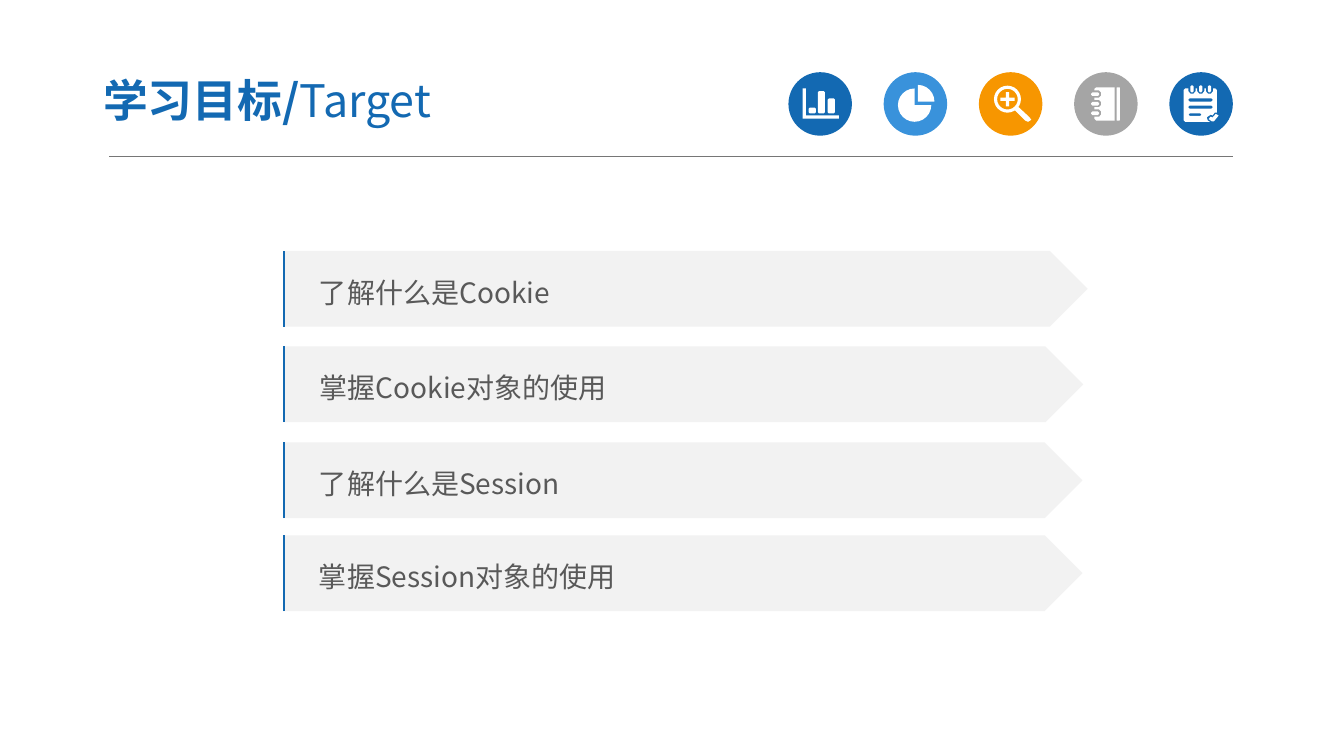
"""Build the learning targets slide."""
from math import cos, radians, sin

from lxml import etree
from pptx import Presentation
from pptx.dml.color import RGBColor
from pptx.enum.shapes import MSO_CONNECTOR, MSO_SHAPE
from pptx.enum.text import MSO_ANCHOR, PP_ALIGN
from pptx.oxml.ns import qn
from pptx.util import Cm, Pt

BLUE = RGBColor(0x13, 0x69, 0xB2)
SKY = RGBColor(0x39, 0x92, 0xDB)
ORANGE = RGBColor(0xF7, 0x96, 0x00)
GREY = RGBColor(0xA5, 0xA5, 0xA5)
WHITE = RGBColor(0xFF, 0xFF, 0xFF)
PALE = RGBColor(0xF2, 0xF2, 0xF2)
DARK = RGBColor(0x59, 0x59, 0x59)
RULE = RGBColor(0x76, 0x76, 0x76)
OVAL, ARROW, LINE = MSO_SHAPE.OVAL, MSO_SHAPE.PENTAGON, MSO_CONNECTOR.STRAIGHT
LEFT, MIDDLE = PP_ALIGN.LEFT, MSO_ANCHOR.MIDDLE
FONT = "Noto Sans CJK SC"

TITLE = (("学习目标/", True), ("Target", False))
GOALS = (
    ("了解什么是Cookie", 7.14, 6.32, 20.27),
    ("掌握Cookie对象的使用", 7.16, 8.73, 20.14),
    ("了解什么是Session", 7.14, 11.15, 20.14),
    ("掌握Session对象的使用", 7.14, 13.49, 20.14),
)
BAR_H, BAR_PAD, EDGE_X, EDGE_W = 1.91, 0.9, 7.16, 0.3
DISC_X, DISC_Y, DISC_D, DISC_STEP = 19.87, 1.82, 1.6, 2.4


def pill(x, y, w, h, cut=0.03):
    """Return a box outline with trimmed corners."""
    r, b = x + w, y + h
    return [(x + cut, y), (r - cut, y), (r, y + cut), (r, b - cut),
            (r - cut, b), (x + cut, b), (x, b - cut), (x, y + cut)]


def arc(x, y, radius, start=0, end=360, step=15):
    """Return points along a clockwise arc."""
    turns = [radians(a) for a in range(start, end + 1, step)]
    return [(x + radius * cos(a), y + radius * sin(a)) for a in turns]


CHART = [
    [(0.36, 0.41), (0.44, 0.41), (0.44, 1.09), (1.27, 1.09), (1.27, 1.17), (0.36, 1.17)],
    pill(0.51, 0.89, 0.18, 0.15),
    pill(0.74, 0.48, 0.18, 0.56),
    pill(0.99, 0.66, 0.18, 0.38),
]
SHARE = [
    [(0.78, 0.83)] + arc(0.78, 0.83, 0.42, 0, 270),
    [(0.86, 0.74)] + arc(0.86, 0.74, 0.42, 270, 360),
]
SEARCH = [
    arc(0.72, 0.68, 0.34),
    arc(0.72, 0.68, 0.26),
    [(0.68, 0.5), (0.76, 0.5), (0.76, 0.64), (0.9, 0.64), (0.9, 0.72), (0.76, 0.72),
     (0.76, 0.86), (0.68, 0.86), (0.68, 0.72), (0.54, 0.72), (0.54, 0.64), (0.68, 0.64)],
    [(1.0, 0.88), (1.28, 1.14), (1.32, 1.2), (1.24, 1.25), (1.17, 1.22), (0.91, 0.96)],
]
HOLES = [0.46 + 0.24 * i for i in range(3)]
BOOK = [
    [(1.02, 1.22), (0.56, 1.22), (0.51, 1.17)]
    + [(x, y + dy) for y in reversed(HOLES) for x, dy in (
        (0.51, 0.18), (0.63, 0.18), (0.68, 0.13), (0.68, 0.05), (0.63, 0), (0.51, 0))]
    + [(0.51, 0.42), (0.56, 0.38), (1.02, 0.38)],
    pill(1.07, 0.38, 0.08, 0.84, 0.01),
] + [pill(0.43, y + 0.05, 0.2, 0.09) for y in HOLES]
SLOTS = [0.48 + 0.22 * i for i in range(3)]
NOTES = [
    [(0.36, 0.45), (0.4, 0.41)]
    + [(x + dx, y) for x in SLOTS for dx, y in (
        (0, 0.41), (0, 0.48), (0.05, 0.54), (0.13, 0.54), (0.18, 0.48), (0.18, 0.41))]
    + [(1.16, 0.41), (1.2, 0.45), (1.2, 1.02), (1.14, 1.02), (1.09, 1.09), (1.04, 1.07),
       (0.94, 1.14), (0.97, 1.22), (1.02, 1.25), (0.4, 1.25), (0.36, 1.21)],
    pill(0.48, 0.66, 0.61, 0.08),
    pill(0.48, 0.84, 0.61, 0.08),
    pill(0.48, 1.04, 0.33, 0.06),
    [(1.22, 1.12), (1.12, 1.24), (1.07, 1.24), (0.99, 1.18), (1.04, 1.12), (1.09, 1.14),
     (1.17, 1.05), (1.24, 1.09)],
] + [pill(x + 0.05, 0.33, 0.08, 0.18) for x in SLOTS]
ICONS = ((BLUE, CHART), (SKY, SHARE), (ORANGE, SEARCH), (GREY, BOOK), (BLUE, NOTES))


def paint(shape, fill):
    """Give a shape a flat fill without outline."""
    shape.shadow.inherit = False
    shape.fill.solid()
    shape.fill.fore_color.rgb = fill
    shape.line.fill.background()


def draw(shapes, kind, fill, x, y, w, h):
    """Add a flat preset shape."""
    shape = shapes.add_shape(kind, Cm(x), Cm(y), Cm(w), Cm(h))
    paint(shape, fill)
    return shape


def sign(shapes, left, top, rings):
    """Add one white outline made of several rings."""
    pen = None
    for ring in rings:
        spots = [(Cm(left + x), Cm(top + y)) for x, y in ring]
        if pen is None:
            pen = shapes.build_freeform(*spots[0])
        else:
            pen.move_to(*spots[0])
        pen.add_line_segments(spots[1:], close=True)
    paint(pen.convert_to_shape(), WHITE)


def edge(shapes, x, y):
    """Add the upright blue edge of a bar."""
    pen = shapes.build_freeform(Cm(x + EDGE_W), Cm(y))
    pen.move_to(Cm(x), Cm(y + BAR_H))
    pen.add_line_segments([(Cm(x), Cm(y))], close=False)
    shape = pen.convert_to_shape()
    shape.shadow.inherit = False
    shape.fill.background()
    shape.line.color.rgb = BLUE
    shape.line.width = Pt(1.5)


def style(run, size, color, bold=False):
    """Format a run in the slide font."""
    font = run.font
    font.name, font.size, font.bold = FONT, Pt(size), bold
    font.color.rgb = color
    face = etree.SubElement(run._r.get_or_add_rPr(), qn("a:ea"))
    face.set("typeface", FONT)


def main():
    """Lay out the slide and save it."""
    deck = Presentation()
    deck.slide_width, deck.slide_height = Cm(33.87), Cm(19.05)
    slide = deck.slides.add_slide(deck.slide_layouts[5])
    shapes = slide.shapes

    title = shapes.title
    title.left, title.top, title.width, title.height = Cm(2.27), Cm(1.6), Cm(13.26), Cm(1.83)
    frame = title.text_frame
    frame.margin_left = frame.margin_right = Cm(0.33)
    frame.vertical_anchor = MIDDLE
    para = frame.paragraphs[0]
    para.alignment = LEFT
    for text, bold in TITLE:
        run = para.add_run()
        run.text = text
        style(run, 32, BLUE, bold)

    rule = shapes.add_connector(LINE, Cm(2.75), Cm(3.93), Cm(31.07), Cm(3.93))
    rule.line.color.rgb = RULE
    rule.line.width = Pt(0.5)
    etree.SubElement(rule._element.spPr, qn("a:effectLst"))

    for i, (color, rings) in enumerate(ICONS):
        left = DISC_X + DISC_STEP * i
        icon = shapes.add_group_shape().shapes
        draw(icon, OVAL, color, left, DISC_Y, DISC_D, DISC_D)
        sign(icon, left, DISC_Y, rings)

    for text, x, y, width in GOALS:
        bar = draw(shapes, ARROW, PALE, x, y, width, BAR_H)
        frame = bar.text_frame
        frame.text = text
        frame.margin_left = Cm(BAR_PAD)
        frame.vertical_anchor = MIDDLE
        para = frame.paragraphs[0]
        para.alignment = LEFT
        para.line_spacing = 1.2
        style(para.runs[0], 20, DARK)
        edge(shapes, EDGE_X, y)

    deck.save("out.pptx")


if __name__ == "__main__":
    main()
